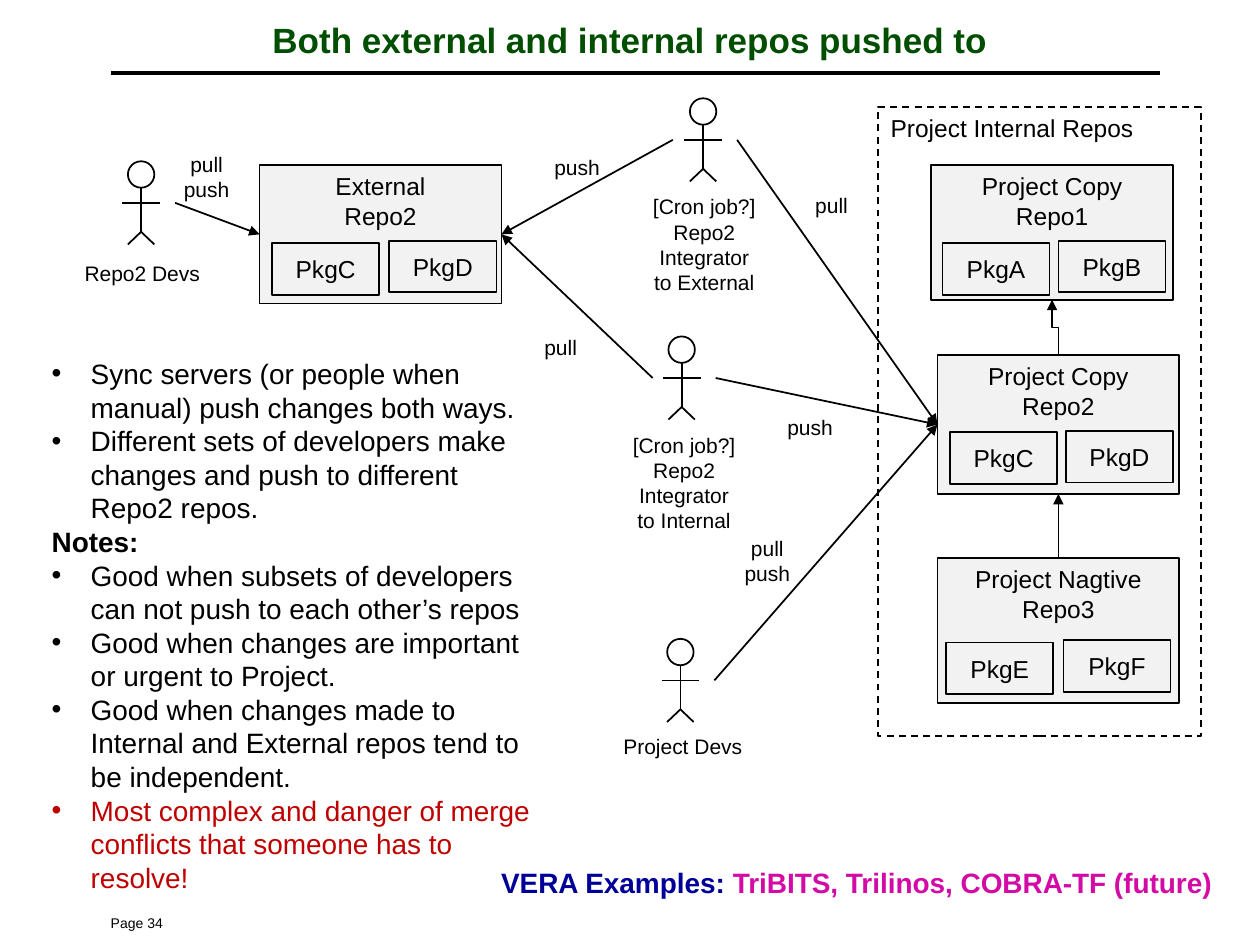
from dataclasses import dataclass

from lxml import etree
from pptx import Presentation
from pptx import util as u
from pptx.dml.color import RGBColor
from pptx.enum import dml, shapes, text
from pptx.oxml.ns import qn

BLACK = RGBColor(0x00, 0x00, 0x00)
GRAY = RGBColor(0xF2, 0xF2, 0xF2)
GREEN = RGBColor(0x00, 0x4E, 0x00)
RED = RGBColor(0xC0, 0x00, 0x00)
NAVY = RGBColor(0x00, 0x00, 0x99)
MAGENTA = RGBColor(0xD3, 0x0A, 0xA5)
CENTER, LEFT, RIGHT = text.PP_ALIGN.CENTER, text.PP_ALIGN.LEFT, text.PP_ALIGN.RIGHT
TOP_SIDE, LEFT_SIDE, BOTTOM_SIDE, RIGHT_SIDE = range(4)


@dataclass
class Repo:
    label: str
    left: float
    top: float
    height: float
    packages: list[tuple[str, float, float]]
    width: float = 1.92


@dataclass
class Person:
    center: float
    top: float

    def hand(self, offset: float) -> tuple[float, float]:
        return self.center + offset, self.top + 0.33


@dataclass
class Label:
    words: str
    left: float
    top: float
    height: float = 0.3


def place(shape, left: float, top: float, width: float, height: float) -> None:
    shape.left, shape.top = u.Inches(left), u.Inches(top)
    shape.width, shape.height = u.Inches(width), u.Inches(height)


def style_span(span, size: float, color: RGBColor = BLACK, bold: bool = False) -> None:
    span.font.name, span.font.size, span.font.bold = "Arial", u.Pt(size), bold
    span.font.color.rgb = color


def write(shape, words: str, size: float, align=CENTER, anchor=text.MSO_ANCHOR.TOP,
          color: RGBColor = BLACK, bold: bool = False) -> None:
    frame = shape.text_frame
    frame.text = words
    frame.word_wrap = True
    frame.vertical_anchor = anchor
    for para in frame.paragraphs:
        para.alignment = align
        for span in para.runs:
            style_span(span, size, color, bold)


def add_label(slide, words: str, left: float, top: float, width: float, height: float,
              size: float = 12, align=CENTER):
    box = slide.shapes.add_textbox(*map(u.Inches, (left, top, width, height)))
    write(box, words, size, align)
    return box


def add_outline(parent, kind, left: float, top: float, width: float, height: float,
                fill: RGBColor | None = None):
    shape = parent.shapes.add_shape(kind, *map(u.Inches, (left, top, width, height)))
    shape.shadow.inherit = False
    if fill is None:
        shape.fill.background()
    else:
        shape.fill.solid()
        shape.fill.fore_color.rgb = fill
    shape.line.color.rgb = BLACK
    shape.line.width = u.Pt(1)
    return shape


def add_line(parent, start, end, arrow: bool = False, width: float = 1,
             kind=shapes.MSO_CONNECTOR.STRAIGHT):
    line = parent.shapes.add_connector(kind, *map(u.Inches, (*start, *end)))
    line.line.color.rgb = BLACK
    line.line.width = u.Pt(width)
    if arrow:
        etree.SubElement(line.line._get_or_add_ln(), qn("a:tailEnd"), type="triangle")
    etree.SubElement(line._element.spPr, qn("a:effectLst"))
    return line


def add_repo(slide, repo: Repo):
    rectangle = shapes.MSO_SHAPE.RECTANGLE
    box = add_outline(slide, rectangle, repo.left, repo.top, repo.width, repo.height, GRAY)
    write(box, repo.label, 14)
    for name, left, top in repo.packages:
        package = add_outline(slide, rectangle, left, top, 0.85, 0.41, GRAY)
        write(package, name, 14, anchor=text.MSO_ANCHOR.MIDDLE)
    return box


def add_person(slide, person: Person) -> None:
    group = slide.shapes.add_group_shape()
    x, y = person.center, person.top
    add_outline(group, shapes.MSO_SHAPE.OVAL, x - 0.105, y, 0.21, 0.21)
    add_line(group, (x, y + 0.21), (x, y + 0.56))
    add_line(group, person.hand(-0.15), person.hand(0.15))
    for foot in (-0.105, 0.105):
        add_line(group, (x, y + 0.56), (x + foot, y + 0.66))


def add_upward_elbow(slide, lower, upper) -> None:
    line = add_line(slide, (0, 0), (1, 1), True, kind=shapes.MSO_CONNECTOR.ELBOW)
    line.begin_connect(lower, TOP_SIDE)
    line.end_connect(upper, BOTTOM_SIDE)
    # A vertical elbow is a horizontal one turned by 270 degrees about its centre
    run, rise = abs(line.begin_x - line.end_x), abs(line.begin_y - line.end_y)
    middle_x, middle_y = (line.begin_x + line.end_x) // 2, (line.begin_y + line.end_y) // 2
    line.left, line.top = middle_x - rise // 2, middle_y - run // 2
    line.width, line.height = rise, run
    frame = line._element.spPr.find(qn("a:xfrm"))
    for key, value in (("rot", "16200000"), ("flipH", "0"), ("flipV", "1")):
        frame.set(key, value)


def set_bullet(para, color: RGBColor | None) -> None:
    properties = para._p.get_or_add_pPr()
    properties.set("marL", str(u.Inches(0.5)))
    properties.set("indent", str(u.Inches(-0.31)))
    if color is None:
        etree.SubElement(properties, qn("a:buNone"))
    else:
        tint = etree.SubElement(properties, qn("a:buClr"))
        etree.SubElement(tint, qn("a:srgbClr"), val=str(color))
        etree.SubElement(properties, qn("a:buFont"), typeface="Arial")
        etree.SubElement(properties, qn("a:buChar"), char="•")


NOTES = [
    ("Sync servers (or people when manual) push changes both ways.", BLACK),
    ("Different sets of developers make changes and push to different Repo2 repos.", BLACK),
    ("Notes:", None),
    ("Good when subsets of developers can not push to each other’s repos", BLACK),
    ("Good when changes are important or urgent to Project.", BLACK),
    ("Good when changes made to Internal and External repos tend to be independent.", BLACK),
    ("Most complex and danger of merge conflicts that someone has to resolve!", RED),
]
LABELS = [
    Label("Repo2 Devs", 0.46, 2.02),
    Label("Project Devs", 4.75, 5.77),
    Label("[Cron job?] Repo2 Integrator\nto External", 4.92, 1.49, 0.9),
    Label("[Cron job?] Repo2 Integrator\nto Internal", 4.76, 3.38, 0.9),
    Label("pull\npush", 0.97, 1.15, 0.5),
    Label("pull\npush", 5.42, 4.2, 0.5),
    Label("push", 3.91, 1.18),
    Label("pull", 3.78, 2.61),
    Label("pull", 5.93, 1.48),
    Label("push", 5.76, 3.24),
]


def main() -> None:
    deck = Presentation()
    deck.slide_width, deck.slide_height = u.Inches(10), u.Inches(7.5)
    page = deck.slides.add_slide(deck.slide_layouts[1])

    # Title, rule and page number
    title, body = page.placeholders
    place(title, 0.75, 0.1, 8.5, 0.42)
    write(title, "Both external and internal repos pushed to", 20,
          anchor=text.MSO_ANCHOR.MIDDLE, color=GREEN, bold=True)
    add_line(page, (0.88, 0.58), (9.21, 0.58), width=2)
    add_label(page, "Page 34", 0.78, 7.21, 2.08, 0.22, 8, LEFT)

    # Notes
    place(body, 0.12, 2.78, 4.25, 4.36)
    write(body, "\n".join(words for words, _ in NOTES), 16, LEFT)
    body.text_frame.auto_size = text.MSO_AUTO_SIZE.NONE
    for para, (_, color) in zip(body.text_frame.paragraphs, NOTES):
        set_bullet(para, color)
        para.space_before = u.Pt(0)
        style_span(para.runs[0], 16, color or BLACK, bold=color is None)

    # Repositories and the frame around the internal ones
    external = add_repo(page, Repo("External\nRepo2", 2.06, 1.31, 1.1,
                                   [("PkgC", 2.16, 1.93), ("PkgD", 3.09, 1.91)]))
    repo1 = add_repo(page, Repo("Project Copy\nRepo1", 7.39, 1.31, 1.07,
                                [("PkgA", 7.48, 1.93), ("PkgB", 8.4, 1.91)]))
    repo2 = add_repo(page, Repo("Project Copy\nRepo2", 7.44, 2.82, 1.1,
                                [("PkgC", 7.54, 3.43), ("PkgD", 8.46, 3.42)]))
    repo3 = add_repo(page, Repo("Project Nagtive\nRepo3", 7.44, 4.43, 1.15,
                                [("PkgE", 7.51, 5.1), ("PkgF", 8.44, 5.08)]))
    frame = add_outline(page, shapes.MSO_SHAPE.RECTANGLE, 6.97, 0.85, 2.56, 4.99)
    frame.line.dash_style = dml.MSO_LINE.DASH
    write(frame, "Project Internal Repos", 14, LEFT)
    add_upward_elbow(page, repo2, repo1)
    add_upward_elbow(page, repo3, repo2)

    # People and their arrows to the repositories
    repo2_devs, project_devs = Person(1.12, 1.28), Person(5.4, 5.07)
    to_external, to_internal = Person(5.58, 0.78), Person(5.41, 2.67)
    for person in (repo2_devs, project_devs, to_external, to_internal):
        add_person(page, person)
    for person, offset, repo, side in (
        (repo2_devs, 0.27, external, LEFT_SIDE),
        (to_external, -0.24, external, RIGHT_SIDE),
        (to_internal, -0.23, external, RIGHT_SIDE),
        (to_external, 0.27, repo2, LEFT_SIDE),
        (to_internal, 0.27, repo2, LEFT_SIDE),
        (project_devs, 0.27, repo2, LEFT_SIDE),
    ):
        hand = person.hand(offset)
        add_line(page, hand, hand, arrow=True).end_connect(repo, side)
    for label in LABELS:
        add_label(page, label.words, label.left, label.top, 1.34, label.height)

    # Examples
    examples = add_label(page, "", 3.51, 6.82, 6.21, 0.37)
    para = examples.text_frame.paragraphs[0]
    para.alignment = RIGHT
    for words, color in (("VERA Examples: ", NAVY),
                         ("TriBITS, Trilinos, COBRA-TF (future)", MAGENTA)):
        span = para.add_run()
        span.text = words
        style_span(span, 16, color, bold=True)

    deck.save("out.pptx")


if __name__ == "__main__":
    main()
